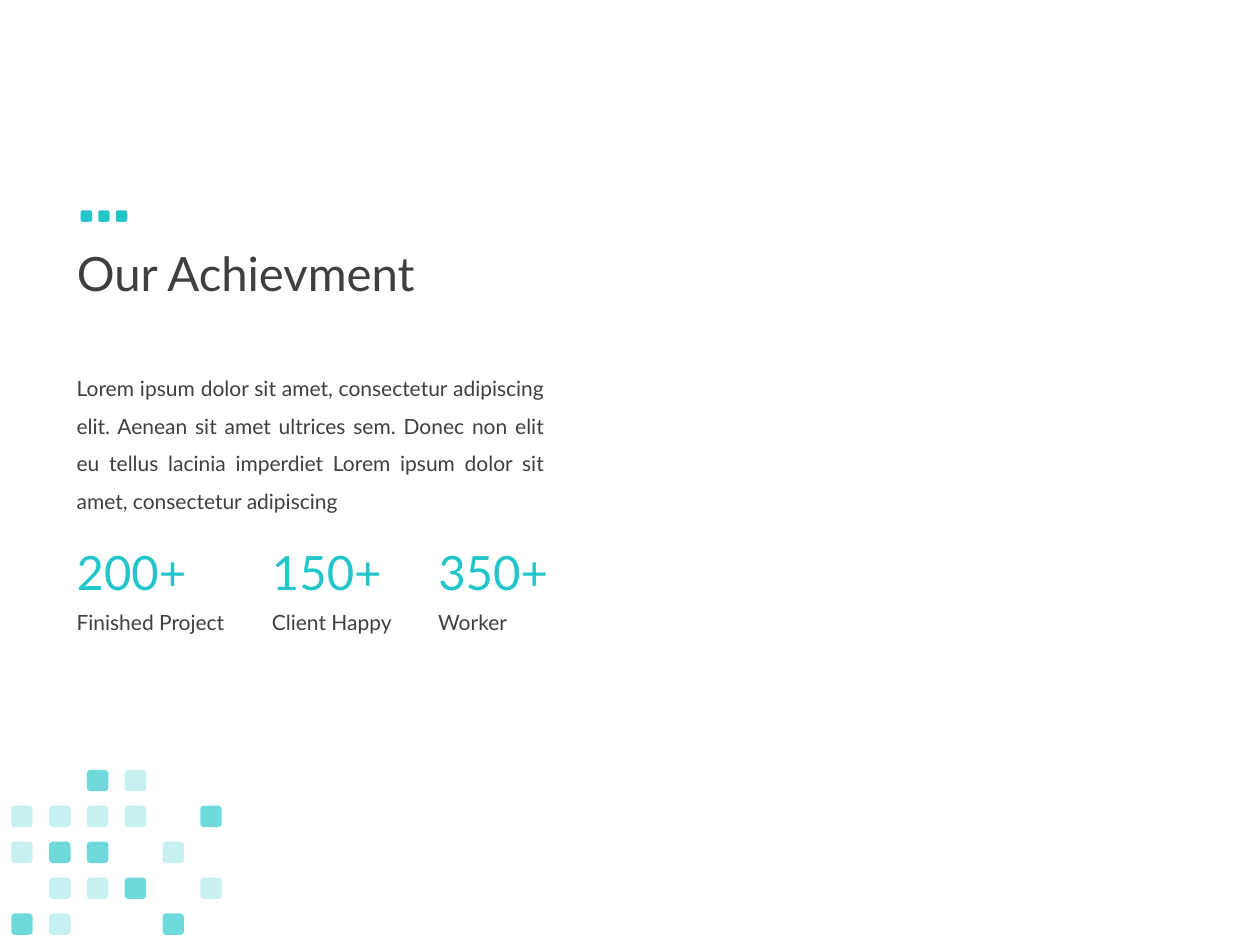
from dataclasses import dataclass

from lxml import etree
from pptx import Presentation
from pptx.dml.color import RGBColor
from pptx.enum.shapes import MSO_SHAPE
from pptx.enum.text import MSO_ANCHOR, PP_ALIGN
from pptx.oxml.ns import qn
from pptx.util import Inches, Pt

ROUNDED = MSO_SHAPE.ROUNDED_RECTANGLE
LEFT, JUSTIFY = PP_ALIGN.LEFT, PP_ALIGN.JUSTIFY
MIDDLE = MSO_ANCHOR.MIDDLE


@dataclass(frozen=True)
class Theme:
    font: str = "Lato"
    ink: RGBColor = RGBColor(0x3F, 0x3F, 0x3F)
    accent: RGBColor = RGBColor(0x23, 0xC5, 0xCA)
    large: int = 27
    body: int = 12


@dataclass(frozen=True)
class Achievement:
    left: float
    figure: str
    label: str


THEME = Theme()
MARGIN = 0.51
ACHIEVEMENTS = [
    Achievement(MARGIN, "200+", "Finished Project"),
    Achievement(2.06, "150+", "Client Happy"),
    Achievement(3.38, "350+", "Worker"),
]
BODY_TEXT = (
    "Lorem ipsum dolor sit amet, consectetur adipiscing elit. Aenean sit amet "
    "ultrices sem. Donec non elit eu tellus lacinia imperdiet Lorem ipsum dolor "
    "sit amet, consectetur adipiscing"
)

# Corner mosaic: D is a dark tile, L a light one, a dot is a gap
MOSAIC = ["..DL..", "LLLL.D", "LDD.L.", ".LLD.L", "DL..D."]
OPACITY = {"D": 65, "L": 25}


def write(box, text: str, size: int, color: RGBColor,
          align: PP_ALIGN = LEFT, spacing: float = 1.0) -> None:
    frame = box.text_frame
    frame.word_wrap = True
    para = frame.paragraphs[0]
    para.text = text
    para.alignment = align
    para.line_spacing = spacing
    para.font.name = THEME.font
    para.font.size = Pt(size)
    para.font.color.rgb = color


def add_text(page, left: float, top: float, width: float, height: float):
    return page.shapes.add_textbox(
        Inches(left), Inches(top), Inches(width), Inches(height))


def add_tile(group, left: float, top: float, side: float, opacity: int = 100) -> None:
    tile = group.shapes.add_shape(
        ROUNDED, Inches(left), Inches(top), Inches(side), Inches(side))
    tile.shadow.inherit = False
    tile.line.fill.background()
    tile.fill.solid()
    tile.fill.fore_color.rgb = THEME.accent
    if opacity < 100:
        color = tile.fill._xPr.find(qn("a:solidFill"))[0]
        etree.SubElement(color, qn("a:alpha")).set("val", str(opacity * 1000))


def main() -> None:
    deck = Presentation()
    deck.slide_width, deck.slide_height = Inches(10), Inches(7.5)
    page = deck.slides.add_slide(deck.slide_layouts[5])

    # Title
    title = page.shapes.title
    title.left, title.top = Inches(MARGIN), Inches(1.47)
    title.width, title.height = Inches(8.62), Inches(1.45)
    title.text_frame.vertical_anchor = MIDDLE
    write(title, "Our Achievment", THEME.large, THEME.ink, spacing=0.9)

    # Figures and their labels
    for item in ACHIEVEMENTS:
        write(add_text(page, item.left, 4.26, 1.19, 0.56),
              item.figure, THEME.large, THEME.accent)
        write(add_text(page, item.left, 4.79, 1.76, 0.3),
              item.label, THEME.body, THEME.ink)

    # Body text
    write(add_text(page, MARGIN, 2.83, 3.91, 1.27),
          BODY_TEXT, THEME.body, THEME.ink, JUSTIFY, 1.5)

    # Mosaic in the bottom corner
    mosaic = page.shapes.add_group_shape()
    for row, marks in enumerate(MOSAIC):
        for column, mark in enumerate(marks):
            if mark in OPACITY:
                add_tile(mosaic, 0.09 + column * 0.3, 6.11 + row * 0.285,
                         0.17, OPACITY[mark])

    # Three dots above the title
    dots = page.shapes.add_group_shape()
    for index in range(3):
        add_tile(dots, 0.64 + index * 0.14, 1.67, 0.09)

    deck.save("out.pptx")


if __name__ == "__main__":
    main()
